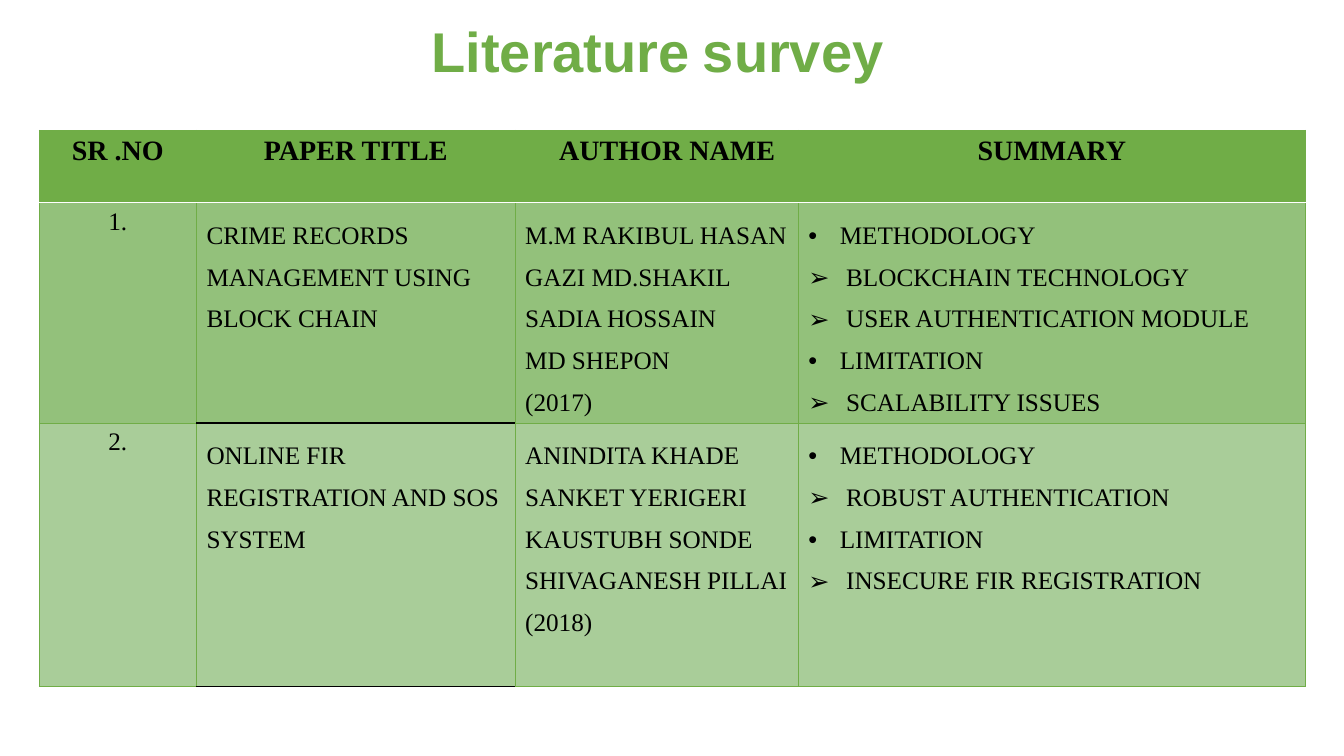
from pptx import Presentation
from pptx.util import Cm, Pt
from pptx.dml.color import RGBColor
from pptx.enum.text import PP_ALIGN as Align
from pptx.oxml.ns import qn
from lxml.etree import SubElement

GREEN = RGBColor(0x70, 0xAD, 0x47)
MID_GREEN = RGBColor(0x93, 0xC1, 0x7B)
PALE_GREEN = RGBColor(0xA9, 0xCD, 0x99)
BLACK = RGBColor(0, 0, 0)
WHITE = RGBColor(0xFF, 0xFF, 0xFF)
PLAIN_STYLE = "{2D5ABB26-0587-4C30-8999-92F81FD0307C}"

HEADING = {"name": "Times New Roman", "size": Pt(20), "bold": True}
BODY = {"name": "Times New Roman", "size": Pt(18), "bold": False}
TITLE = {"name": "Arial", "size": Pt(40), "bold": True}
TITLE_GAP = TITLE | {"size": Pt(34), "italic": True}

# Bullet sign: indent
BULLETS = {"•": Cm(0.79), "➢": Cm(0.95)}

HEADERS = ["SR .NO", "PAPER TITLE", "AUTHOR NAME", "SUMMARY"]
PAPERS = [
    (["1."],
     ["CRIME RECORDS MANAGEMENT USING BLOCK CHAIN"],
     ["M.M RAKIBUL HASAN", "GAZI MD.SHAKIL", "SADIA HOSSAIN", "MD SHEPON", "(2017)"],
     ["•METHODOLOGY", "➢BLOCKCHAIN TECHNOLOGY", "➢USER AUTHENTICATION MODULE",
      "•LIMITATION", "➢SCALABILITY ISSUES"]),
    (["2."],
     ["ONLINE FIR REGISTRATION AND SOS SYSTEM"],
     ["ANINDITA KHADE", "SANKET YERIGERI", "KAUSTUBH SONDE SHIVAGANESH PILLAI", "(2018)"],
     ["•METHODOLOGY", "➢ROBUST AUTHENTICATION", "•LIMITATION",
      "➢INSECURE FIR REGISTRATION"]),
]


def add_run(paragraph, text, style, color):
    run = paragraph.add_run()
    run.text = text
    for attribute, value in style.items():
        setattr(run.font, attribute, value)
    run.font.color.rgb = color


def add_plain_table(slide, left, top, widths, heights):
    frame = slide.shapes.add_table(len(heights), len(widths), Cm(left), Cm(top),
                                   Cm(sum(widths)), Cm(sum(heights)))
    table = frame.table
    table.first_row = table.horz_banding = False
    table._tbl.tblPr.find(qn("a:tableStyleId")).text = PLAIN_STYLE
    for column, width in zip(table.columns, widths):
        column.width = Cm(width)
    for row, height in zip(table.rows, heights):
        row.height = Cm(height)
    return table


prs = Presentation()
prs.slide_width, prs.slide_height = Cm(33.87), Cm(19.05)
slide = prs.slides.add_slide(prs.slide_layouts[6])

# Survey table
survey = add_plain_table(slide, 0.99, 3.28, [3.96, 8.03, 7.14, 12.78], [1.83, 5.55, 6.63])

# Borders and fills
for r, row_fill in enumerate([GREEN, MID_GREEN, PALE_GREEN]):
    for c in range(len(HEADERS)):
        cell = survey.cell(r, c)
        edges = {"L": (GREEN, 0.5), "R": (GREEN, 0.5), "T": (GREEN, 0.5), "B": (GREEN, 0.5)}
        if r == 0:
            edges["B"] = (WHITE, 1)
        elif r == 1:
            edges["T"] = (WHITE, 1)
        if c == 1 and r > 0:
            edges["B"] = (BLACK, 1)
        if c == 1 and r == 2:
            edges["T"] = (BLACK, 1)
        for side, (color, width) in edges.items():
            line = SubElement(cell._tc.get_or_add_tcPr(), qn(f"a:ln{side}"), w=str(Pt(width)))
            SubElement(SubElement(line, qn("a:solidFill")), qn("a:srgbClr"), val=str(color))
        cell.fill.solid()
        cell.fill.fore_color.rgb = row_fill

# Header row
for c, header in enumerate(HEADERS):
    paragraph = survey.cell(0, c).text_frame.paragraphs[0]
    paragraph.alignment = Align.CENTER
    add_run(paragraph, header, HEADING, BLACK)
survey.cell(0, 2).margin_left = Cm(0.78)

# Paper rows
for r, paper in enumerate(PAPERS, start=1):
    for c, lines in enumerate(paper):
        text_frame = survey.cell(r, c).text_frame
        for i, text in enumerate(lines):
            paragraph = text_frame.add_paragraph() if i else text_frame.paragraphs[0]
            if c == 0:
                paragraph.alignment = Align.CENTER
            else:
                paragraph.line_spacing = 1.5
            sign = text[0]
            if sign in BULLETS:
                text = text[1:]
                indent = BULLETS[sign]
                properties = paragraph._p.get_or_add_pPr()
                properties.set("marL", str(indent))
                properties.set("indent", str(-indent))
                SubElement(properties, qn("a:buFont"), typeface="Arial")
                SubElement(properties, qn("a:buChar"), char=sign)
            add_run(paragraph, text, BODY, BLACK)

# Title
title = add_plain_table(slide, 5.28, 0.43, [22.58], [2.34])
heading = title.cell(0, 0).text_frame.paragraphs[0]
heading.alignment = Align.CENTER
for text, style in [("Literature", TITLE), (" ", TITLE_GAP), ("survey", TITLE)]:
    add_run(heading, text, style, GREEN)

prs.save("out.pptx")
